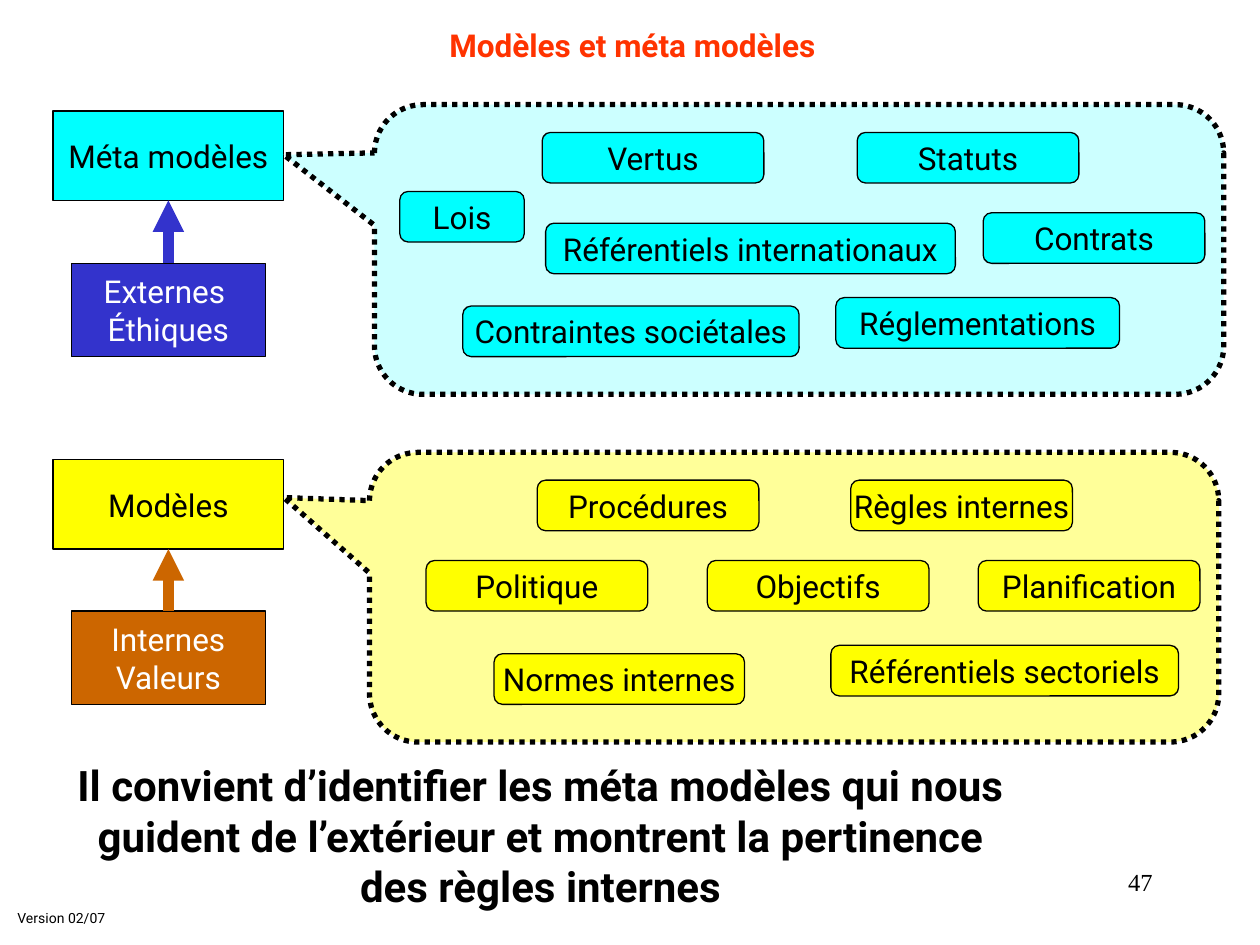
from pptx import Presentation
from pptx.dml.color import RGBColor
from pptx.enum.dml import MSO_LINE
from pptx.enum.shapes import MSO_CONNECTOR, MSO_SHAPE
from pptx.enum.text import MSO_ANCHOR, MSO_AUTO_SIZE, PP_ALIGN
from pptx.oxml.ns import qn
from pptx.util import Cm, Pt
from lxml.etree import SubElement

BLACK = RGBColor(0x00, 0x00, 0x00)
WHITE = RGBColor(0xFF, 0xFF, 0xFF)
RED = RGBColor(0xFF, 0x33, 0x00)
CYAN = RGBColor(0x00, 0xFF, 0xFF)
PALE_CYAN = RGBColor(0xCC, 0xFF, 0xFF)
YELLOW = RGBColor(0xFF, 0xFF, 0x00)
PALE_YELLOW = RGBColor(0xFF, 0xFF, 0x99)
BLUE = RGBColor(0x33, 0x33, 0xCC)
ORANGE = RGBColor(0xCC, 0x66, 0x00)

SANS = "Roboto"
SERIF = "Times New Roman"
CORNER = 0.167
HEAD_WIDTH, HEAD_HEIGHT = 4.65, 1.8
SOURCE_WIDTH, SOURCE_HEIGHT, SOURCE_TOP = 3.91, 1.88, 3.2
CALLOUT_WIDTH, CALLOUT_HEIGHT = 17.12, 5.84
CHIP_WIDTH, CHIP_HEIGHT = 4.47, 1.02

META_CHIPS = [
    ("Lois", 0.51, 1.75, 2.51),
    ("Référentiels internationaux", 3.45, 2.39, 8.26),
    ("Réglementations", 9.3, 3.89, 5.72),
    ("Contraintes sociétales", 1.78, 4.06, 6.78),
    ("Vertus", 3.38, 0.56, CHIP_WIDTH),
    ("Contrats", 12.27, 2.18, CHIP_WIDTH),
    ("Statuts", 9.73, 0.56, CHIP_WIDTH),
]
MODEL_CHIPS = [
    ("Politique", 1.14, 2.18, CHIP_WIDTH),
    ("Objectifs", 6.81, 2.18, CHIP_WIDTH),
    ("Référentiels sectoriels", 9.3, 3.89, 7.01),
    ("Normes internes", 2.51, 4.06, 5.05),
    ("Procédures", 3.38, 0.56, CHIP_WIDTH),
    ("Planification", 12.27, 2.18, CHIP_WIDTH),
    ("Règles internes", 9.7, 0.56, CHIP_WIDTH),
]


def write(frame, text, size, color, font=SANS, bold=False, align=PP_ALIGN.CENTER):
    frame.text = text
    for paragraph in frame.paragraphs:
        paragraph.alignment = align
        for run in paragraph.runs:
            run.font.name = font
            run.font.size = Pt(size)
            run.font.bold = bold
            run.font.color.rgb = color


def add_box(slide, preset, left, top, width, height, fill, text="", color=BLACK):
    box = slide.shapes.add_shape(preset, Cm(left), Cm(top), Cm(width), Cm(height))
    box.shadow.inherit = False
    box.fill.solid()
    box.fill.fore_color.rgb = fill
    box.line.color.rgb = BLACK
    box.line.width = Pt(0.75)
    if text:
        box.text_frame.word_wrap = False
        box.text_frame.vertical_anchor = MSO_ANCHOR.MIDDLE
        write(box.text_frame, text, 18, color)
    return box


def add_arrow(slide, x, bottom, top, color):
    arrow = slide.shapes.add_connector(
        MSO_CONNECTOR.STRAIGHT, Cm(x), Cm(bottom), Cm(x), Cm(top))
    arrow.line.color.rgb = color
    arrow.line.width = Pt(6)
    SubElement(arrow.line._get_or_add_ln(), qn("a:tailEnd"), type="triangle")
    SubElement(arrow._element.spPr, qn("a:effectLst"))


def add_callout(slide, left, top, fill, pointer, chips, chip_fill):
    callout = add_box(slide, MSO_SHAPE.ROUNDED_RECTANGULAR_CALLOUT,
                      left, top, CALLOUT_WIDTH, CALLOUT_HEIGHT, fill)
    for index, value in enumerate((*pointer, CORNER)):
        callout.adjustments[index] = value
    callout.line.width = Pt(3)
    callout.line.dash_style = MSO_LINE.ROUND_DOT
    for text, x, y, width in chips:
        chip = add_box(slide, MSO_SHAPE.ROUNDED_RECTANGLE, left + x, top + y,
                       width, CHIP_HEIGHT, chip_fill, text)
        chip.adjustments[0] = CORNER


def add_level(slide, left, top, width, head, head_top, head_fill,
              source, source_fill, callout_fill, pointer, chips):
    add_box(slide, MSO_SHAPE.RECTANGLE, left, top + head_top,
            HEAD_WIDTH, HEAD_HEIGHT, head_fill, head)
    add_callout(slide, left + width - CALLOUT_WIDTH, top,
                callout_fill, pointer, chips, head_fill)
    center = left + HEAD_WIDTH / 2
    add_box(slide, MSO_SHAPE.RECTANGLE, center - SOURCE_WIDTH / 2, top + SOURCE_TOP,
            SOURCE_WIDTH, SOURCE_HEIGHT, source_fill, source, WHITE)
    add_arrow(slide, center, top + SOURCE_TOP, top + head_top + HEAD_HEIGHT, source_fill)


def add_label(slide, left, top, width, height, text, size, color=BLACK,
              wrap=False, grow=True, **style):
    frame = slide.shapes.add_textbox(
        Cm(left), Cm(top), Cm(width), Cm(height)).text_frame
    frame.word_wrap = wrap
    frame.auto_size = MSO_AUTO_SIZE.SHAPE_TO_FIT_TEXT if grow else MSO_AUTO_SIZE.NONE
    write(frame, text, size, color, **style)


def main():
    deck = Presentation()
    deck.slide_width, deck.slide_height = Cm(25.4), Cm(19.05)
    slide = deck.slides.add_slide(deck.slide_layouts[6])
    add_label(slide, 8.43, 0.41, 8.64, 1.02, "Modèles et méta modèles", 18, RED, bold=True)
    add_level(slide, 1.07, 2.11, 23.6, "Méta modèles", 0.13, CYAN,
              "Externes \nÉthiques", BLUE, PALE_CYAN, (-0.607, -0.327), META_CHIPS)
    add_level(slide, 1.07, 9.12, 23.5, "Modèles", 0.15, YELLOW,
              "Internes\nValeurs", ORANGE, PALE_YELLOW, (-0.601, -0.344), MODEL_CHIPS)
    add_label(slide, 1.04, 15.19, 19.71, 3.3,
              "Il convient d’identifier les méta modèles qui nous guident de l’extérieur "
              "et montrent la pertinence des règles internes", 24, wrap=True, bold=True)
    add_label(slide, 0.1, 18.21, 2.34, 0.61, "Version 02/07", 8, align=PP_ALIGN.LEFT)
    add_label(slide, 18.21, 17.35, 5.28, 1.27, "47", 14, wrap=True, grow=False,
              font=SERIF, align=PP_ALIGN.RIGHT)
    deck.save("out.pptx")


if __name__ == "__main__":
    main()
